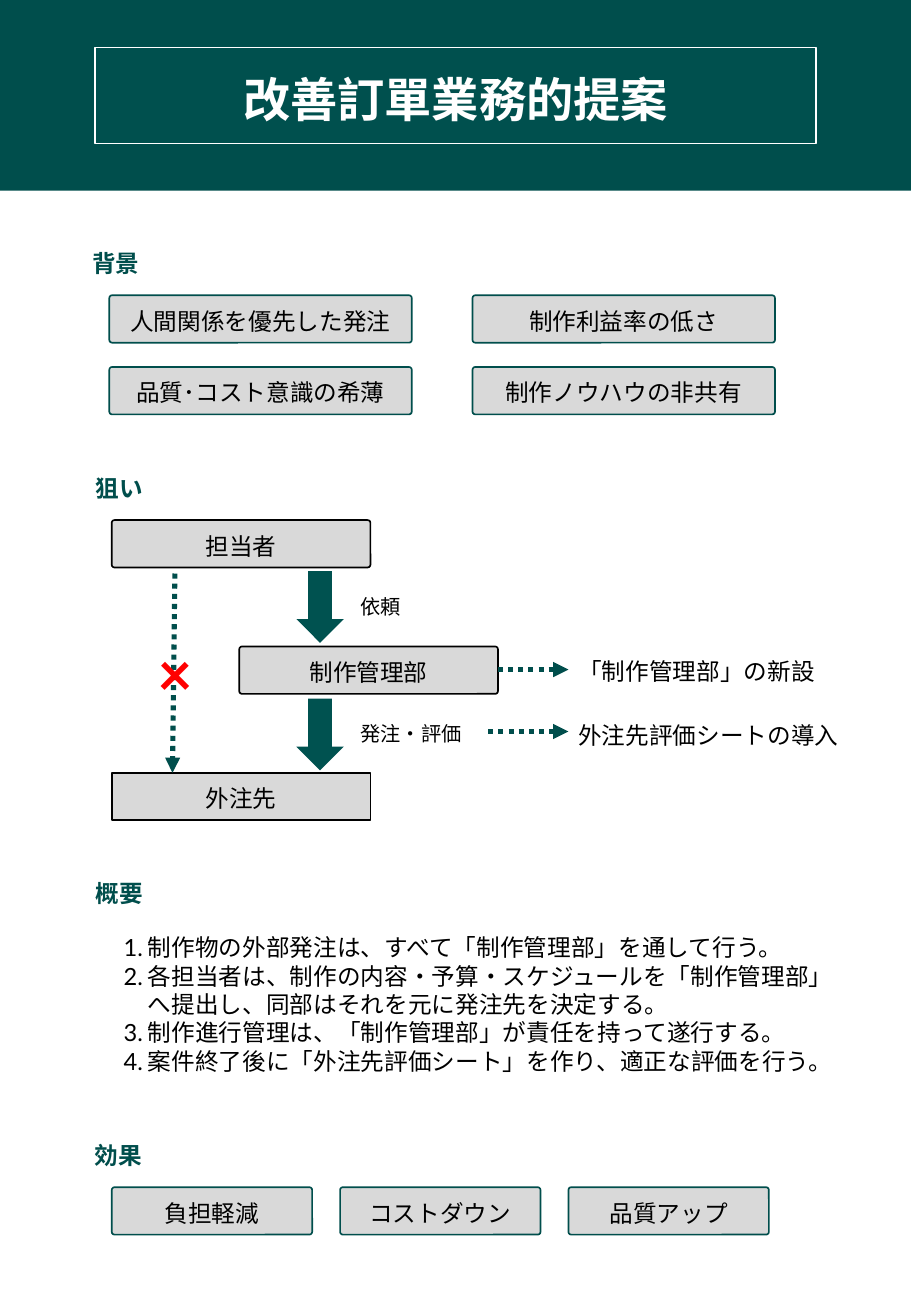
from lxml.etree import SubElement
from pptx import Presentation
from pptx.dml.color import RGBColor
from pptx.enum.dml import MSO_LINE
from pptx.enum.shapes import MSO_CONNECTOR, MSO_SHAPE
from pptx.enum.text import MSO_ANCHOR, PP_ALIGN
from pptx.oxml.ns import qn
from pptx.util import Pt

PX = 9144  # 100 px to the inch
FONT = "Lato"
COLORS = {
    "green": "004E4C",
    "arrow": "005250",
    "gray": "D9D9D9",
    "black": "000000",
    "white": "FFFFFF",
    "red": "FF0000",
}
BOX_HEIGHT = 39
CORNER = 0.058


def px(*lengths):
    return [length * PX for length in lengths]


def rgb(name):
    return RGBColor.from_string(COLORS[name])


def write(shape, lines, size=14, color="black", bold=False, align=PP_ALIGN.LEFT,
          anchor=MSO_ANCHOR.TOP, margins=(10, 5, 10, 5), numbered=False):
    frame = shape.text_frame
    frame.word_wrap = True
    frame.vertical_anchor = anchor
    (frame.margin_left, frame.margin_top,
     frame.margin_right, frame.margin_bottom) = px(*margins)
    frame.text = "\n".join(lines)
    for paragraph in frame.paragraphs:
        paragraph.alignment = align
        properties = paragraph._p.get_or_add_pPr()
        if numbered:
            properties.set("marL", str(20 * PX))
            properties.set("indent", str(-20 * PX))
            SubElement(properties, qn("a:buAutoNum"), type="arabicPeriod")
        font = paragraph.font
        font.name, font.size, font.bold = FONT, Pt(size), bold
        font.color.rgb = rgb(color)
        # East Asian text takes its line height from this font
        SubElement(properties.find(qn("a:defRPr")), qn("a:ea"), typeface=FONT)


def add_text(slide, box, *lines, **style):
    write(slide.shapes.add_textbox(*px(*box)), lines, **style)


def add_block(slide, kind, box, fill, line=None):
    shape = slide.shapes.add_shape(kind, *px(*box))
    shape.shadow.inherit = False
    shape.fill.solid()
    shape.fill.fore_color.rgb = rgb(fill)
    if line:
        shape.line.color.rgb = rgb(line)
        shape.line.width = Pt(1)
    else:
        shape.line.fill.background()
    return shape


def add_label_box(slide, left, top, width, text, line="green", corner=CORNER):
    box = (left, top, width, BOX_HEIGHT)
    shape = add_block(slide, MSO_SHAPE.ROUNDED_RECTANGLE, box, "gray", line)
    shape.adjustments[0] = corner
    write(shape, [text], align=PP_ALIGN.CENTER, anchor=MSO_ANCHOR.MIDDLE,
          margins=(4, 3, 4, 0))


def add_dotted_arrow(slide, *ends):
    connector = slide.shapes.add_connector(MSO_CONNECTOR.STRAIGHT, *px(*ends))
    connector.line.color.rgb = rgb("green")
    connector.line.width = Pt(3)
    connector.line.dash_style = MSO_LINE.ROUND_DOT
    properties = connector._element.spPr
    SubElement(properties.find(qn("a:ln")), qn("a:tailEnd"), type="triangle")
    SubElement(properties, qn("a:effectLst"))


def add_heading(slide, left, top, text):
    add_text(slide, (left, top, 91, 34), text, color="green", bold=True)


def add_title_band(slide, left, top, width, height):
    add_block(slide, MSO_SHAPE.RECTANGLE, (left, top, width, height), "green")
    frame_box = (left + 78, top + 39, width - 156, height - 78)
    frame = add_block(slide, MSO_SHAPE.RECTANGLE, frame_box, "arrow", "white")
    fill_color = frame._element.spPr.find(qn("a:solidFill"))[0]
    SubElement(fill_color, qn("a:alpha"), val="50000")
    write(frame, ["改善訂單業務的提案"], size=28, color="white", bold=True,
          align=PP_ALIGN.CENTER, anchor=MSO_ANCHOR.MIDDLE, margins=(10, 6, 10, 0))


def add_background(slide, left, top):
    add_heading(slide, left, top, "背景")
    rows = [("人間関係を優先した発注", "制作利益率の低さ"),
            ("品質･コスト意識の希薄", "制作ノウハウの非共有")]
    for row, texts in enumerate(rows):
        for column, text in enumerate(texts):
            add_label_box(slide, left + 24 + 299 * column, top + 43 + 59 * row, 249, text)


def add_aim(slide, left, top):
    add_heading(slide, left, top, "狙い")
    for x, y, text, corner in [(23, 43, "担当者", CORNER),
                               (128, 147, "制作管理部", CORNER),
                               (23, 251, "外注先", 0)]:
        add_label_box(slide, left + x, top + y, 213, text, "black", corner)

    for y, text in [(85, "依頼"), (190, "発注・評価")]:
        add_block(slide, MSO_SHAPE.DOWN_ARROW, (left + 175, top + y, 39, 59), "arrow")
        add_text(slide, (left + 218, top + y + 14, 116, 30), text, size=12)

    add_dotted_arrow(slide, left + 75, top + 87, left + 73, top + 251)
    add_text(slide, (left + 48, top + 133, 54, 71), "×", size=36, color="red",
             bold=True, align=PP_ALIGN.CENTER)

    for start, arrow_y, text_y, text in [(341, 166, 151, "「制作管理部」の新設"),
                                         (333, 217, 204, "外注先評価シートの導入")]:
        add_dotted_arrow(slide, left + start, top + arrow_y, left + 399, top + arrow_y)
        add_text(slide, (left + 403, top + text_y, 235, 32), text,
                 anchor=MSO_ANCHOR.MIDDLE, margins=(4, 4, 4, 4))


def add_outline(slide, left, top):
    add_heading(slide, left, top, "概要")
    add_text(slide, (left + 23, top + 45, 610, 128),
             "制作物の外部発注は、すべて「制作管理部」を通して行う。",
             "各担当者は、制作の内容・予算・スケジュールを「制作管理部」へ提出し、同部はそれを元に発注先を決定する。",
             "制作進行管理は、「制作管理部」が責任を持って遂行する。",
             "案件終了後に「外注先評価シート」を作り、適正な評価を行う。",
             numbered=True)


def add_effects(slide, left, top):
    add_heading(slide, left, top, "効果")
    for column, text in enumerate(["負担軽減", "コストダウン", "品質アップ"]):
        add_label_box(slide, left + 24 + 188 * column, top + 43, 165, text)


def main():
    presentation = Presentation()
    presentation.slide_width, presentation.slide_height = px(750, 1083)
    slide = presentation.slides.add_slide(presentation.slide_layouts[6])
    add_title_band(slide, 0, 0, 750, 157)
    add_background(slide, 66, 200)
    add_aim(slide, 69, 385)
    add_outline(slide, 69, 718)
    add_effects(slide, 68, 934)
    presentation.save("out.pptx")


if __name__ == "__main__":
    main()
